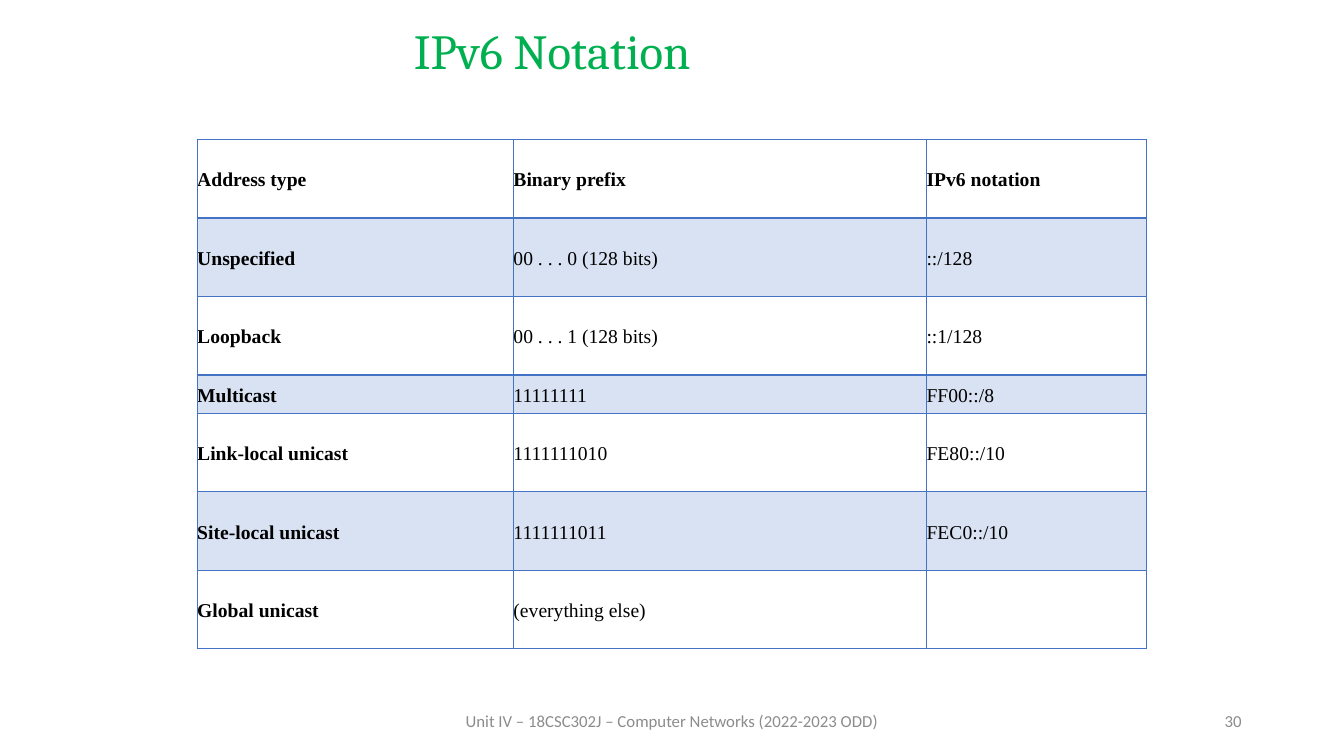
from lxml import etree
from pptx import Presentation
from pptx.dml.color import RGBColor
from pptx.enum.text import MSO_ANCHOR, PP_ALIGN
from pptx.oxml.ns import qn
from pptx.util import Cm, Pt

GREEN = RGBColor(0x00, 0xB0, 0x50)
GREY = RGBColor(0x8C, 0x8C, 0x8C)
BLACK = RGBColor(0x00, 0x00, 0x00)
BLUE = RGBColor(0x44, 0x72, 0xC4)

TOP, MIDDLE = MSO_ANCHOR.TOP, MSO_ANCHOR.MIDDLE
LEFT, CENTER, RIGHT = PP_ALIGN.LEFT, PP_ALIGN.CENTER, PP_ALIGN.RIGHT

ADDRESS_ROWS = [
    ("Address type", "Binary prefix", "IPv6 notation"),
    ("Unspecified", "00 . . . 0 (128 bits)", "::/128"),
    ("Loopback", "00 . . . 1 (128 bits)", "::1/128"),
    ("Multicast", "11111111", "FF00::/8"),
    ("Link-local unicast", "1111111010", "FE80::/10"),
    ("Site-local unicast", "1111111011", "FEC0::/10"),
    ("Global unicast", "(everything else)", ""),
]
COLUMN_WIDTHS = (7.97, 10.41, 5.54)
ROW_HEIGHT, MULTICAST_HEIGHT = 1.98, 0.96
MULTICAST_ROW = 3


def style_font(paragraph, name, size, color, bold=False):
    font = paragraph.font
    font.name = name
    font.size = Pt(size)
    font.bold = bold
    font.color.rgb = color


def add_label(slide, text, box, align, anchor, name, size, color):
    frame = slide.shapes.add_textbox(*(Cm(length) for length in box)).text_frame
    frame.word_wrap = True
    frame.vertical_anchor = anchor
    paragraph = frame.paragraphs[0]
    paragraph.text = text
    paragraph.alignment = align
    style_font(paragraph, name, size, color)


def set_borders(cell, bottom_width):
    properties = cell._tc.get_or_add_tcPr()
    widths = {"a:lnL": 1, "a:lnR": 1, "a:lnT": 1, "a:lnB": bottom_width}
    for position, (side, width) in enumerate(widths.items()):
        line = etree.Element(qn(side), w=str(Pt(width)))
        fill = etree.SubElement(line, qn("a:solidFill"))
        etree.SubElement(fill, qn("a:srgbClr"), val=str(BLUE))
        properties.insert(position, line)


def fill_cell(cell, shaded):
    if not shaded:
        cell.fill.background()
        return
    cell.fill.solid()
    cell.fill.fore_color.rgb = BLUE
    color = cell._tc.tcPr.find(".//" + qn("a:srgbClr"))
    etree.SubElement(color, qn("a:alpha"), val="20000")


def write_cell(cell, text, bold):
    cell.vertical_anchor = MIDDLE
    cell.margin_left = cell.margin_right = 0
    cell.margin_top = cell.margin_bottom = 0
    paragraph = cell.text_frame.paragraphs[0]
    paragraph.text = text
    paragraph.alignment = LEFT
    paragraph.line_spacing = 1.15
    paragraph.space_after = Pt(10)
    style_font(paragraph, "Times New Roman", 14, BLACK, bold)


def add_address_table(slide):
    heights = [ROW_HEIGHT] * len(ADDRESS_ROWS)
    heights[MULTICAST_ROW] = MULTICAST_HEIGHT
    table = slide.shapes.add_table(
        len(heights), len(COLUMN_WIDTHS), Cm(4.97), Cm(3.51),
        Cm(sum(COLUMN_WIDTHS)), Cm(sum(heights))).table
    table.first_row = False
    table.horz_banding = False
    for column, width in zip(table.columns, COLUMN_WIDTHS):
        column.width = Cm(width)
    for row_index, texts in enumerate(ADDRESS_ROWS):
        table.rows[row_index].height = Cm(heights[row_index])
        is_header = row_index == 0
        for column_index, text in enumerate(texts):
            cell = table.cell(row_index, column_index)
            write_cell(cell, text, is_header or column_index == 0)
            fill_cell(cell, row_index % 2 == 1)
            set_borders(cell, 2 if is_header else 1)


def main():
    presentation = Presentation()
    presentation.slide_width = Cm(33.87)
    presentation.slide_height = Cm(19.05)
    slide = presentation.slides.add_slide(presentation.slide_layouts[6])
    add_address_table(slide)
    add_label(slide, "IPv6 Notation", (0, 0.38, 27.84, 1.52),
              CENTER, TOP, "Cambria", 35, GREEN)
    add_label(slide, "Unit IV – 18CSC302J – Computer Networks (2022-2023 ODD)",
              (11.22, 17.66, 11.43, 1.01), CENTER, MIDDLE, "Calibri", 12, GREY)
    add_label(slide, "30", (23.92, 17.66, 7.62, 1.01),
              RIGHT, MIDDLE, "Calibri", 12, GREY)
    presentation.save("out.pptx")


if __name__ == "__main__":
    main()
